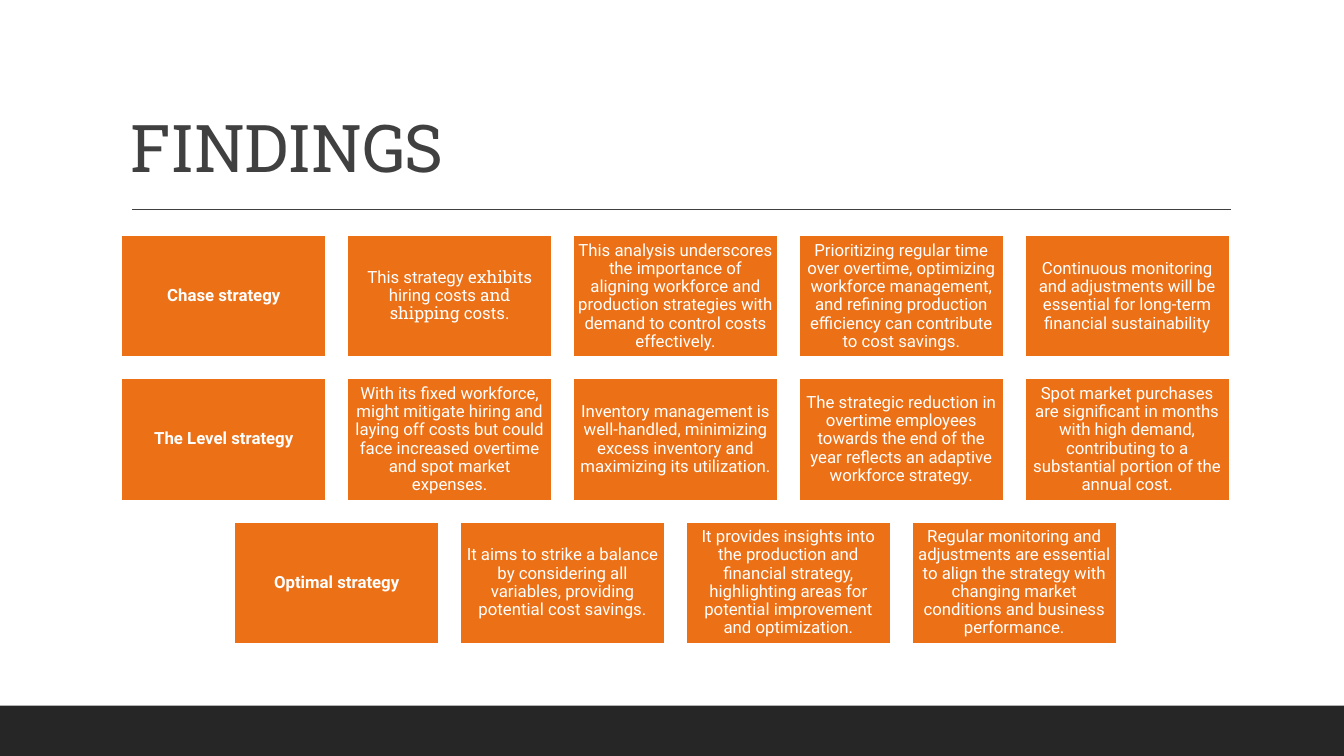
import pptx
import pptx.dml.color
import pptx.enum.shapes
import pptx.enum.text
import pptx.oxml
import pptx.util
from pptx.util import Inches

SLAB, SANS = "Roboto Slab", "Roboto"
ALIGN = pptx.enum.text.PP_ALIGN
ANCHOR = pptx.enum.text.MSO_ANCHOR


def color(code):
    """Turn a hex string into a colour."""
    return pptx.dml.color.RGBColor.from_string(code)


def assign(target, formats):
    """Set each named format value on the target."""
    for name, value in formats.items():
        setattr(target, name, value)


class FindingsSlide:
    """Hold the style and draw the elements of the slide."""

    ink, bar, card_fill, paper = "404040", "262626", "EC7016", "FFFFFF"
    card_frame = dict(
        word_wrap=True, vertical_anchor=ANCHOR.MIDDLE,
        margin_left=Inches(0.05), margin_right=Inches(0.05),
        margin_top=Inches(0.05), margin_bottom=Inches(0.05))

    def __init__(self, slide):
        """Keep the slide to draw on."""
        self.shapes = slide.shapes

    def rectangle(self, left, top, width, height, fill, outline=None):
        """Draw a filled rectangle, with an outline if one is given."""
        box = self.shapes.add_shape(
            pptx.enum.shapes.MSO_SHAPE.RECTANGLE,
            Inches(left), Inches(top), Inches(width), Inches(height))
        box.shadow.inherit = False
        box.fill.solid()
        box.fill.fore_color.rgb = color(fill)
        if outline:
            box.line.color.rgb = color(outline)
            box.line.width = pptx.util.Pt(2)
        else:
            box.line.fill.background()
        return box

    def fill_text(self, frame, runs, align, size, ink, bold=False):
        """Put one paragraph of (text, font) runs in a frame."""
        paragraph = frame.paragraphs[0]
        assign(paragraph, dict(alignment=align, line_spacing=0.9))
        for words, family in runs:
            run = paragraph.add_run()
            run.text = words
            assign(run.font, dict(name=family, size=pptx.util.Pt(size), bold=bold))
            run.font.color.rgb = color(ink)
        return paragraph

    def title(self, words):
        """Add the slide title."""
        heading = self.shapes.add_textbox(
            Inches(1.2), Inches(0.31), Inches(11), Inches(1.59))
        assign(heading.text_frame, dict(word_wrap=True, vertical_anchor=ANCHOR.BOTTOM))
        paragraph = self.fill_text(
            heading.text_frame, [(words, SLAB)], ALIGN.LEFT, 47, self.ink)
        paragraph.runs[0]._r.get_or_add_rPr().set("spc", "-50")

    def rule(self, left, right, top):
        """Draw the horizontal line below the title."""
        divider = self.shapes.add_connector(
            pptx.enum.shapes.MSO_CONNECTOR.STRAIGHT,
            Inches(left), Inches(top), Inches(right), Inches(top))
        divider.line.color.rgb = color(self.ink)
        divider.line.width = pptx.util.Pt(1)
        properties = divider._element.spPr
        properties.append(pptx.oxml.parse_xml(
            '<a:effectLst xmlns:a='
            '"http://schemas.openxmlformats.org/drawingml/2006/main"/>'))

    def card(self, left, top, width, height, runs, bold):
        """Draw one card with centred text."""
        box = self.rectangle(left, top, width, height, self.card_fill, self.paper)
        assign(box.text_frame, self.card_frame)
        self.fill_text(box.text_frame, runs, ALIGN.CENTER, 12, self.paper, bold)

    def strategies(self, rows):
        """Lay the cards out in centred rows, each led by a bold name."""
        width, height, step_x, step_y = 2.04, 1.22, 2.24, 1.42
        longest = max(len(row) for row in rows)
        for level, row in enumerate(rows):
            start = 1.2 + (longest - len(row)) * step_x / 2
            for place, content in enumerate(row):
                runs = [(content, SANS)] if isinstance(content, str) else content
                self.card(start + place * step_x, 2.33 + level * step_y,
                          width, height, runs, place == 0)


STRATEGIES = [
    ["Chase strategy",
     [("This strategy", SANS), (" exhibits", SLAB), (" hiring costs ", SANS),
      ("and shipping", SLAB), (" costs.", SANS)],
     "This analysis underscores the importance of aligning workforce and "
     "production strategies with demand to control costs effectively.",
     "Prioritizing regular time over overtime, optimizing workforce management, "
     "and refining production efficiency can contribute to cost savings.",
     "Continuous monitoring and adjustments will be essential for long-term "
     "financial sustainability"],
    ["The Level strategy",
     "With its fixed workforce, might mitigate hiring and laying off costs but "
     "could face increased overtime and spot market expenses.",
     "Inventory management is well-handled, minimizing excess inventory and "
     "maximizing its utilization.",
     "The strategic reduction in overtime employees towards the end of the year "
     "reflects an adaptive workforce strategy.",
     "Spot market purchases are significant in months with high demand, "
     "contributing to a substantial portion of the annual cost."],
    ["Optimal strategy",
     "It aims to strike a balance by considering all variables, providing "
     "potential cost savings.",
     "It provides insights into the production and financial strategy, "
     "highlighting areas for potential improvement and optimization.",
     "Regular monitoring and adjustments are essential to align the strategy "
     "with changing market conditions and business performance."],
]


def main():
    """Build and save the findings slide."""
    deck = pptx.Presentation()
    assign(deck, dict(slide_width=Inches(13.33), slide_height=Inches(7.5)))
    findings = FindingsSlide(deck.slides.add_slide(deck.slide_layouts[6]))
    findings.rectangle(0, 7, 13.33, 0.5, findings.bar)
    findings.rule(1.31, 12.21, 2.08)
    findings.title("FINDINGS")
    findings.strategies(STRATEGIES)
    deck.save("out.pptx")


if __name__ == "__main__":
    main()
